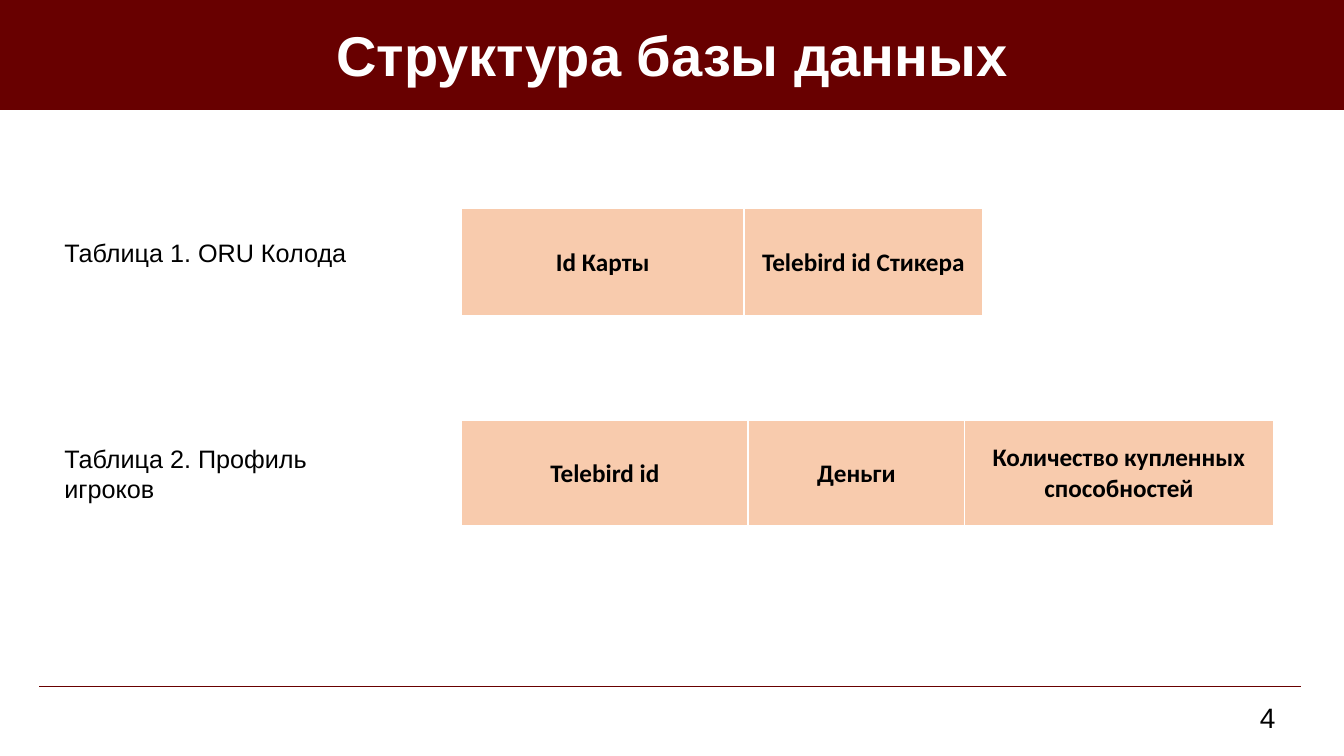
from pptx import Presentation
from pptx.dml.color import RGBColor
from pptx.enum.shapes import MSO_CONNECTOR
from pptx.enum.text import MSO_ANCHOR, MSO_AUTO_SIZE, PP_ALIGN
from pptx.oxml.ns import qn
from pptx.util import Pt
from lxml.etree import SubElement

MAROON = RGBColor(0x68, 0x00, 0x00)
PEACH = RGBColor(0xF8, 0xCB, 0xAD)
WHITE = RGBColor(0xFF, 0xFF, 0xFF)
BLACK = RGBColor(0x00, 0x00, 0x00)

EDGES = {"lnL": 1, "lnR": 1, "lnT": 1, "lnB": 3}


class Deck:
    head = "Arial"
    body = "Calibri"

    def __init__(self, wide, high):
        self.prs = Presentation()
        self.prs.slide_width, self.prs.slide_height = Pt(wide), Pt(high)
        self.slide = self.prs.slides.add_slide(self.prs.slide_layouts[5])
        self.shapes = self.slide.shapes

    def add_text(self, para, text, size, font, color=BLACK, bold=False):
        run = para.add_run()
        run.text = text
        run.font.size = Pt(size)
        run.font.name = font
        run.font.bold = bold
        run.font.color.rgb = color

    def title(self, text, wide, high):
        bar = self.shapes.title
        bar.left, bar.top, bar.width, bar.height = 0, 0, Pt(wide), Pt(high)
        bar.fill.solid()
        bar.fill.fore_color.rgb = MAROON
        bar.line.color.rgb = MAROON
        bar.line.width = Pt(1)
        frame = bar.text_frame
        frame.vertical_anchor = MSO_ANCHOR.MIDDLE
        frame.auto_size = MSO_AUTO_SIZE.NONE
        para = frame.paragraphs[0]
        para.alignment = PP_ALIGN.CENTER
        self.add_text(para, text, 40, self.head, WHITE, True)

    def rule(self, left, right, top):
        line = self.shapes.add_connector(
            MSO_CONNECTOR.STRAIGHT, Pt(left), Pt(top), Pt(right), Pt(top))
        line.line.color.rgb = MAROON
        line.line.width = Pt(1)
        SubElement(line._element.spPr, qn("a:effectLst"))

    def label(self, text, left, top, wide, high, size=18):
        box = self.shapes.add_textbox(Pt(left), Pt(top), Pt(wide), Pt(high))
        box.text_frame.word_wrap = True
        para = box.text_frame.paragraphs[0]
        self.add_text(para, text, size, self.head)
        return para

    def border(self, cell):
        """Draw white cell edges; they must come before the fill."""
        props = cell._tc.get_or_add_tcPr()
        for tag, width in EDGES.items():
            edge = SubElement(props, qn("a:" + tag), w=str(Pt(width)))
            fill = SubElement(edge, qn("a:solidFill"))
            SubElement(fill, qn("a:srgbClr"), val=str(WHITE))

    def table(self, names, widths, left, top, high):
        grid = self.shapes.add_table(
            1, len(names), Pt(left), Pt(top), Pt(sum(widths)), Pt(high)).table
        for col, wide in zip(grid.columns, widths):
            col.width = Pt(wide)
        for cell, name in zip(grid.rows[0].cells, names):
            self.border(cell)
            cell.fill.solid()
            cell.fill.fore_color.rgb = PEACH
            cell.vertical_anchor = MSO_ANCHOR.MIDDLE
            para = cell.text_frame.paragraphs[0]
            para.alignment = PP_ALIGN.CENTER
            self.add_text(para, name, 18, self.body, bold=True)


def main():
    deck = Deck(960, 540)
    deck.title("Структура базы данных", 960, 78)
    deck.rule(28, 929, 490.3)

    number = deck.label("4", 892.8, 499.7, 28, 37.4, 20)
    number.line_spacing = 0.9
    number.space_before = Pt(10)

    deck.table(["Telebird id", "Деньги", "Количество купленных способностей"],
               [204.5, 154.8, 220.3], 329.8, 300.2, 76.3)
    deck.table(["Id Карты", "Telebird id Cтикера"],
               [201.6, 170.6], 329.8, 149, 77)

    deck.label("Таблица 1. ORU Колода", 38.9, 165.6, 234.7, 29)
    deck.label("Таблица 2. Профиль игроков", 38.9, 313.2, 211.7, 51)
    deck.prs.save("out.pptx")


if __name__ == "__main__":
    main()
